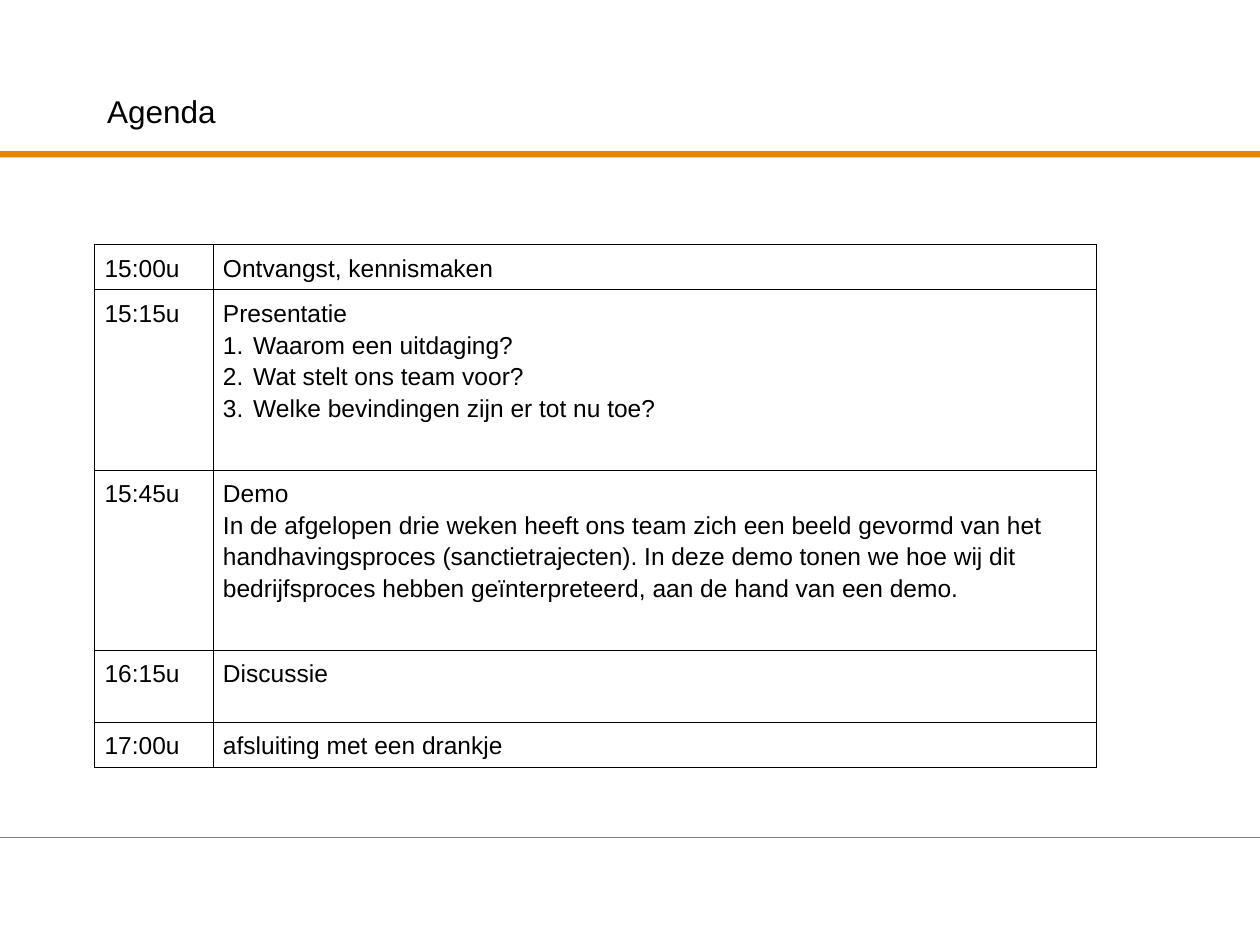
"""Build the agenda slide with its timetable."""
from lxml.etree import SubElement
from pptx import Presentation
from pptx.dml.color import RGBColor
from pptx.enum.shapes import MSO_CONNECTOR, MSO_SHAPE
from pptx.enum.text import MSO_ANCHOR, MSO_AUTO_SIZE, PP_ALIGN
from pptx.oxml.ns import qn
from pptx.util import Inches, Pt

COLORS = {"text": "000000", "paper": "FFFFFF", "accent": "E98300", "rule": "7F7F7F"}
FONT = "Arial"
TITLE = "Agenda"
AGENDA = [
    ("15:00u", 0.36, ["Ontvangst, kennismaken"], []),
    ("15:15u", 1.43, ["Presentatie"], [
        "Waarom een uitdaging?",
        "Wat stelt ons team voor?",
        "Welke bevindingen zijn er tot nu toe?",
    ]),
    ("15:45u", 1.43, [
        "Demo",
        "In de afgelopen drie weken heeft ons team zich een beeld gevormd van het "
        "handhavingsproces (sanctietrajecten). In deze demo tonen we hoe wij dit "
        "bedrijfsproces hebben geïnterpreteerd, aan de hand van een demo.",
    ], []),
    ("16:15u", 0.57, ["Discussie"], []),
    ("17:00u", 0.36, ["afsluiting met een drankje"], []),
]
COLUMN_WIDTHS = (0.94, 7.01)
LEFT, TABLE_TOP = 0.75, 1.94
NUMBER_INDENT = Inches(0.24)


def color(name):
    return RGBColor.from_string(COLORS[name])


def style_font(paragraph, size):
    paragraph.alignment = PP_ALIGN.LEFT
    paragraph.font.name = FONT
    paragraph.font.size = Pt(size)
    paragraph.font.color.rgb = color("text")


def number_paragraph(paragraph):
    properties = paragraph._p.get_or_add_pPr()
    properties.set("marL", str(NUMBER_INDENT))
    properties.set("indent", str(-NUMBER_INDENT))
    SubElement(properties, qn("a:buFont"), typeface=FONT)
    SubElement(properties, qn("a:buAutoNum"), type="arabicPeriod")


def border_cell(cell):
    properties = cell._tc.get_or_add_tcPr()
    for position, side in enumerate(("a:lnL", "a:lnR", "a:lnT", "a:lnB")):
        line = SubElement(properties, qn(side), w=str(Pt(0.45)))
        fill = SubElement(line, qn("a:solidFill"))
        SubElement(fill, qn("a:srgbClr"), val=COLORS["text"])
        properties.insert(position, line)


def fill_cell(cell, lines, numbered=()):
    cell.fill.solid()
    cell.fill.fore_color.rgb = color("paper")
    cell.margin_left = cell.margin_right = Inches(0.08)
    cell.margin_top, cell.margin_bottom = Inches(0.05), Inches(0.03)
    cell.vertical_anchor = MSO_ANCHOR.TOP
    border_cell(cell)
    cell.text = "\n".join([*lines, *numbered])
    for index, paragraph in enumerate(cell.text_frame.paragraphs):
        paragraph.line_spacing = 1.15
        if index >= len(lines):
            number_paragraph(paragraph)
        style_font(paragraph, 14)


def add_rules(page, width):
    bar = page.shapes.add_shape(MSO_SHAPE.RECTANGLE, 0, Inches(1.2), width, Inches(0.05))
    bar.shadow.inherit = False
    bar.fill.solid()
    bar.fill.fore_color.rgb = color("accent")
    bar.line.fill.background()
    footer = Inches(6.65)
    rule = page.shapes.add_connector(MSO_CONNECTOR.STRAIGHT, 0, footer, width, footer)
    rule.line.color.rgb = color("rule")
    rule.line.width = Pt(0.5)
    SubElement(rule._element.spPr, qn("a:effectLst"))


def add_title(page):
    title = page.shapes.title
    title.left, title.top = Inches(LEFT), Inches(0.68)
    title.width, title.height = Inches(1.2), Inches(0.4)
    frame = title.text_frame
    frame.text = TITLE
    frame.word_wrap = True
    frame.auto_size = MSO_AUTO_SIZE.NONE
    frame.vertical_anchor = MSO_ANCHOR.TOP
    frame.margin_left = frame.margin_right = Inches(0.1)
    frame.margin_top = frame.margin_bottom = Inches(0.05)
    style_font(frame.paragraphs[0], 18)


def add_agenda(page):
    height = sum(row_height for _, row_height, _, _ in AGENDA)
    table = page.shapes.add_table(
        len(AGENDA), len(COLUMN_WIDTHS), Inches(LEFT), Inches(TABLE_TOP),
        Inches(sum(COLUMN_WIDTHS)), Inches(height),
    ).table
    table.first_row = table.horz_banding = False
    for column, width in zip(table.columns, COLUMN_WIDTHS):
        column.width = Inches(width)
    for row, (time, row_height, lines, numbered) in zip(table.rows, AGENDA):
        row.height = Inches(row_height)
        fill_cell(row.cells[0], [time])
        fill_cell(row.cells[1], lines, numbered)


def main():
    deck = Presentation()
    deck.slide_width, deck.slide_height = Inches(10), Inches(7.5)
    page = deck.slides.add_slide(deck.slide_layouts[5])
    add_rules(page, deck.slide_width)
    add_agenda(page)
    add_title(page)
    deck.save("out.pptx")


if __name__ == "__main__":
    main()
